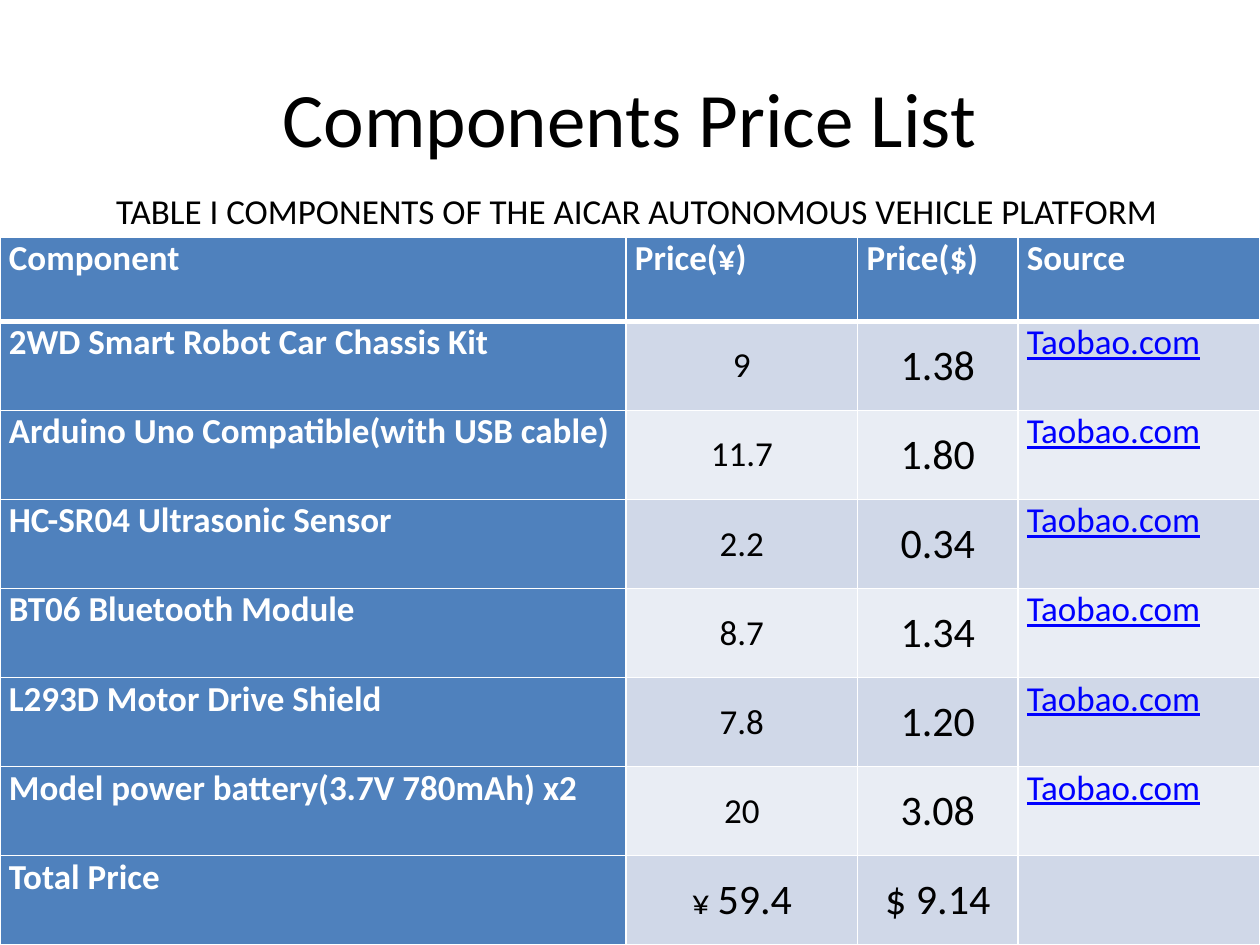
"""Build the slide with the price list of the car components."""
from lxml import etree
from pptx import Presentation
from pptx.dml.color import RGBColor
from pptx.enum.text import MSO_ANCHOR, PP_ALIGN
from pptx.oxml.ns import qn
from pptx.util import Cm, Pt

MID, TOP = MSO_ANCHOR.MIDDLE, MSO_ANCHOR.TOP
CENTER, JUST = PP_ALIGN.CENTER, PP_ALIGN.JUSTIFY
BLACK = RGBColor(0, 0, 0)
WHITE = RGBColor(255, 255, 255)
BLUE = RGBColor(0x4F, 0x81, 0xBD)
LINK = RGBColor(0, 0, 255)
BANDS = RGBColor(0xE9, 0xED, 0xF4), RGBColor(0xD0, 0xD8, 0xE8)
FONT = "Calibri"

TITLE = "Components Price List"
LABEL = "TABLE I COMPONENTS OF THE AICAR AUTONOMOUS VEHICLE PLATFORM"
SITE = "Taobao.com"
ROWS = [
    ("Component", "Price(¥)", "Price($)", "Source"),
    ("2WD Smart Robot Car Chassis Kit", "9", "1.38", SITE),
    ("Arduino Uno Compatible(with USB cable)", "11.7", "1.80", SITE),
    ("HC-SR04 Ultrasonic Sensor", "2.2", "0.34", SITE),
    ("BT06 Bluetooth Module", "8.7", "1.34", SITE),
    ("L293D Motor Drive Shield", "7.8", "1.20", SITE),
    ("Model power battery(3.7V 780mAh) x2", "20", "3.08", SITE),
    ("Total Price", "¥ ", "$ 9.14", ""),
]
TOTAL = "59.4"
WIDTHS = 12.62, 4.67, 3.23, 4.88
WIDE, HIGH = 25.4, 19.05
START, HEAD = 4.78, 1.7


def style(run, size, color, bold=False, line=False):
    font = run.font
    font.name, font.size, font.bold = FONT, Pt(size), bold
    font.color.rgb = color
    if line:
        font.underline = True


def add_text(slide, text, size, left, top, width, height):
    frame = slide.shapes.add_textbox(Cm(left), Cm(top), Cm(width), Cm(height)).text_frame
    frame.word_wrap = True
    frame.vertical_anchor = MID
    frame.text = text
    para = frame.paragraphs[0]
    para.alignment = CENTER
    style(para.runs[0], size, BLACK)


def add_edges(cell, row):
    props = cell._tc.get_or_add_tcPr()
    thick = {"lnT": row == 1, "lnB": row == 0}
    for side in ("lnL", "lnR", "lnT", "lnB"):
        width = Pt(3 if thick.get(side) else 1)
        edge = etree.SubElement(props, qn("a:" + side), w=str(width))
        fill = etree.SubElement(edge, qn("a:solidFill"))
        etree.SubElement(fill, qn("a:srgbClr"), val=str(WHITE))


def fill_cell(cell, row, col, text):
    head = row == 0 or col == 0
    price = not head and col in (1, 2)
    link = not head and col == 3
    add_edges(cell, row)
    cell.fill.solid()
    cell.fill.fore_color.rgb = BLUE if head else BANDS[row % 2]
    cell.margin_left = cell.margin_right = Cm(0.18)
    cell.margin_top = cell.margin_bottom = 0
    cell.vertical_anchor = MID if price else TOP
    cell.text = text
    para = cell.text_frame.paragraphs[0]
    para.alignment = CENTER if price else JUST
    size = 24 if price and col == 2 else 20
    color = WHITE if head else LINK if link else BLACK
    for run in para.runs:
        style(run, size, color, head, link)


def add_grid(slide):
    shape = slide.shapes.add_table(
        len(ROWS), len(WIDTHS), 0, Cm(START), Cm(WIDE), Cm(HIGH - START))
    table = shape.table
    step = (HIGH - START - HEAD) / (len(ROWS) - 1)
    for col, width in enumerate(WIDTHS):
        table.columns[col].width = Cm(width)
    for row, texts in enumerate(ROWS):
        table.rows[row].height = Cm(step if row else HEAD)
        for col, text in enumerate(texts):
            fill_cell(table.cell(row, col), row, col, text)
    run = table.cell(len(ROWS) - 1, 1).text_frame.paragraphs[0].add_run()
    run.text = TOTAL
    style(run, 24, BLACK)


def main():
    deck = Presentation()
    deck.slide_width, deck.slide_height = Cm(WIDE), Cm(HIGH)
    slide = deck.slides.add_slide(deck.slide_layouts[6])
    add_text(slide, TITLE, 44, 1.27, 0.76, 22.86, 3.18)
    add_grid(slide)
    add_text(slide, LABEL, 20, 1.3, 3.68, 23.09, 1.12)
    deck.save("out.pptx")


if __name__ == "__main__":
    main()
